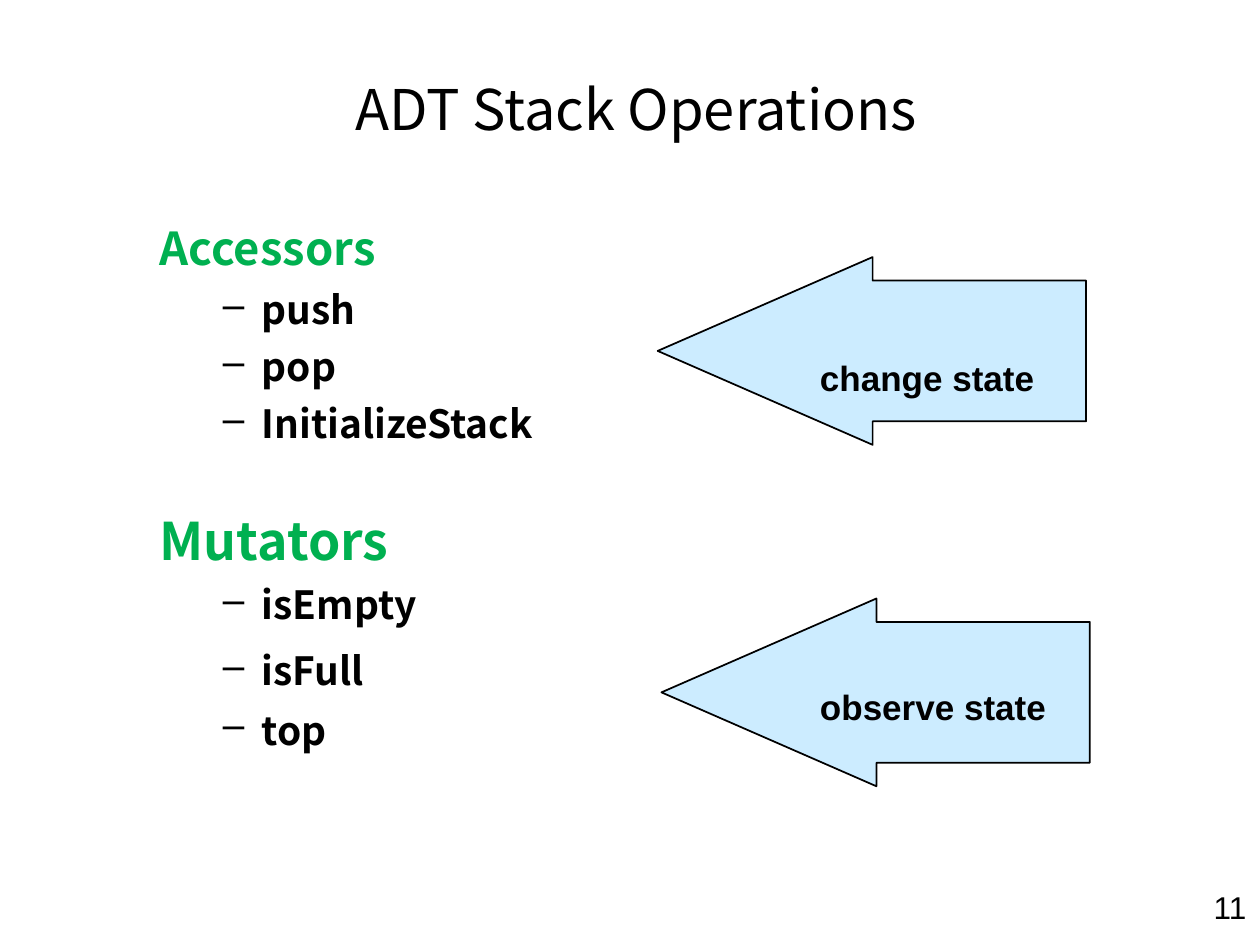
from lxml.etree import SubElement
from pptx import Presentation
from pptx.dml.color import RGBColor
from pptx.enum.shapes import MSO_SHAPE
from pptx.enum.text import MSO_ANCHOR, PP_ALIGN
from pptx.oxml.ns import qn
from pptx.util import Inches, Pt

BLACK = RGBColor(0x00, 0x00, 0x00)
GREEN = RGBColor(0x00, 0xB0, 0x50)
SKY = RGBColor(0xCC, 0xEC, 0xFF)
SANS = "Noto Sans CJK KR"
ARIAL = "Arial"

# Heading, size, line height, space before, and (operation, space before)
GROUPS = [
    ("Accessors", 25.9, 33.4, 0,
     [("push", 6), ("pop", 6), ("InitializeStack", 6)]),
    ("Mutators", 29.6, 34, 37,
     [("isEmpty", 6), ("isFull", 11), ("top", 7.5)]),
]


def write(para, text, size, font=SANS, color=BLACK, bold=False,
          align=PP_ALIGN.LEFT, before=0, line=None):
    para.alignment = align
    para.space_before = Pt(before)
    if line:
        para.line_spacing = Pt(line)
    run = para.add_run()
    run.text = text
    run.font.name = font
    run.font.size = Pt(size)
    run.font.bold = bold
    run.font.color.rgb = color


def add_box(slide, box, anchor=MSO_ANCHOR.TOP):
    frame = slide.shapes.add_textbox(*map(Inches, box)).text_frame
    frame.word_wrap = True
    frame.vertical_anchor = anchor
    return frame


def add_dash(para):
    props = para._p.get_or_add_pPr()
    props.set("marL", str(Inches(0.81)))
    props.set("indent", str(Inches(-0.31)))
    SubElement(props, qn("a:buChar"), char="–")


def add_title(slide, box):
    frame = add_box(slide, box, MSO_ANCHOR.MIDDLE)
    write(frame.paragraphs[0], "ADT Stack Operations", 32,
          align=PP_ALIGN.CENTER)


def add_list(slide, box):
    frame = add_box(slide, box)
    para = frame.paragraphs[0]
    for head, size, line, gap, items in GROUPS:
        if gap:
            para = frame.add_paragraph()
        write(para, head, size, color=GREEN, bold=True, before=gap, line=line)
        for item, space in items:
            para = frame.add_paragraph()
            add_dash(para)
            write(para, item, 22.2, bold=True, before=space, line=26.6)


def add_arrow(slide, box, text, spot):
    arrow = slide.shapes.add_shape(MSO_SHAPE.LEFT_ARROW, *map(Inches, box))
    arrow.adjustments[0] = 0.75
    arrow.adjustments[1] = 1.145
    arrow.shadow.inherit = False
    arrow.fill.solid()
    arrow.fill.fore_color.rgb = SKY
    arrow.line.color.rgb = BLACK
    arrow.line.width = Pt(1)
    # Label over the shaft, placed relative to the arrow
    left, top = box[:2]
    frame = add_box(slide, (left + spot[0], top + spot[1], 2.1, 0.43))
    write(frame.paragraphs[0], text, 20, font=ARIAL, bold=True)


def add_number(slide, box):
    frame = add_box(slide, box)
    write(frame.paragraphs[0], "11", 18, font=ARIAL, align=PP_ALIGN.RIGHT)


def main():
    deck = Presentation()
    deck.slide_width = Inches(10)
    deck.slide_height = Inches(7.5)
    slide = deck.slides.add_slide(deck.slide_layouts[6])
    add_title(slide, (1.33, 0.5, 7.44, 0.71))
    add_list(slide, (1.17, 1.67, 8, 4.58))
    add_arrow(slide, (5.22, 2.04, 3.4, 1.49), "change state", (1.19, 0.74))
    add_arrow(slide, (5.25, 4.75, 3.4, 1.49), "observe state", (1.16, 0.64))
    add_number(slide, (7.91, 7, 2.08, 0.5))
    deck.save("out.pptx")


if __name__ == "__main__":
    main()
